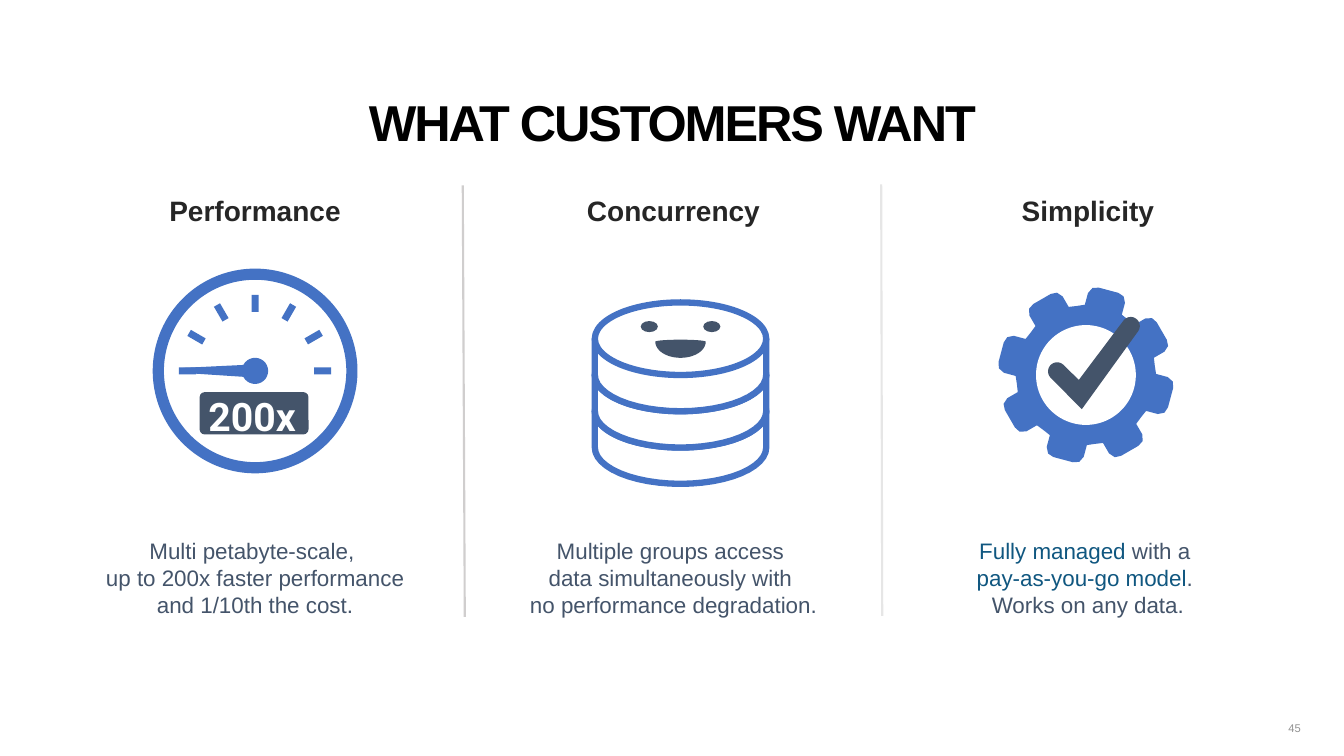
from math import cos, sin, radians

from lxml import etree
from pptx import Presentation
from pptx.dml.color import RGBColor
from pptx.enum.shapes import MSO_CONNECTOR, MSO_SHAPE
from pptx.enum.text import MSO_ANCHOR, PP_ALIGN
from pptx.oxml.ns import qn
from pptx.util import Inches, Pt

OVAL, RECT = MSO_SHAPE.OVAL, MSO_SHAPE.RECTANGLE
ROUND = MSO_SHAPE.ROUNDED_RECTANGLE
LINE = MSO_CONNECTOR.STRAIGHT
TOP, MIDDLE, BOTTOM = MSO_ANCHOR.TOP, MSO_ANCHOR.MIDDLE, MSO_ANCHOR.BOTTOM
CENTER, RIGHT = PP_ALIGN.CENTER, PP_ALIGN.RIGHT

COLOR = {
    "blue": "4472C4", "slate": "44546A", "white": "FFFFFF", "black": "000000",
    "head": "262626", "link": "105780", "page": "929292",
    "rule1": "D0CECE", "rule2": "E6E6E6",
}

# Grid: centres of the three columns, tops of the text rows
COLS = (2.53, 6.68, 10.79)
HEAD, BODY = 1.87, 5.28
WIDE = 3.6

COLUMNS = [
    ("Performance", [("Multi petabyte-scale, \nup to 200x faster performance\n"
                      "and 1/10th the cost.", "slate")]),
    ("Concurrency", [("Multiple groups access \ndata simultaneously with \n"
                      "no performance degradation.", "slate")]),
    ("Simplicity", [("Fully managed ", "link"), ("with a \n", "slate"),
                    ("pay-as-you-go model", "link"),
                    (". \nWorks on any data.", "slate")]),
]


def rgb(name):
    return RGBColor.from_string(COLOR[name])


def paint(shape, fill=None, line=None, width=0):
    shape.shadow.inherit = False
    if fill:
        shape.fill.solid()
        shape.fill.fore_color.rgb = rgb(fill)
    else:
        shape.fill.background()
    if line:
        shape.line.color.rgb = rgb(line)
        shape.line.width = Pt(width)
    else:
        shape.line.fill.background()
    return shape


def block(slide, kind, x, y, w, h, *style):
    """Preset shape centred on x, y."""
    box = [Inches(v) for v in (x - w / 2, y - h / 2, w, h)]
    return paint(slide.shapes.add_shape(kind, *box), *style)


def shape(slide, points, *style, close=True):
    """Outline through a list of points."""
    spots = [(Inches(x), Inches(y)) for x, y in points]
    pen = slide.shapes.build_freeform(*spots[0])
    pen.add_line_segments(spots[1:], close=close)
    return paint(pen.convert_to_shape(), *style)


def arc(x, y, rx, ry, start, end, steps=24):
    turns = [radians(start + (end - start) * i / steps)
             for i in range(steps + 1)]
    return [(x + rx * cos(t), y + ry * sin(t)) for t in turns]


def text(slide, x, y, w, h, runs, size, color=None, bold=False, font="Arial",
         align=CENTER, anchor=TOP, space=None, track=None):
    """Text box centred on x with its top at y; runs are (words, colour)."""
    box = slide.shapes.add_textbox(
        Inches(x - w / 2), Inches(y), Inches(w), Inches(h))
    frame = box.text_frame
    frame.word_wrap = True
    frame.vertical_anchor = anchor
    para = frame.paragraphs[0]
    para.alignment = align
    if space:
        para.line_spacing = space
    para.font.name, para.font.size, para.font.bold = font, Pt(size), bold
    if color:
        para.font.color.rgb = rgb(color)
    for words, tint in runs:
        for i, part in enumerate(words.split("\n")):
            if i:
                para.add_line_break()
            if part:
                run = para.add_run()
                run.text = part
                if tint:
                    run.font.color.rgb = rgb(tint)
                if track:
                    run.font._element.set("spc", str(track))


def rule(slide, x1, y1, x2, y2, color):
    line = slide.shapes.add_connector(
        LINE, *[Inches(v) for v in (x1, y1, x2, y2)])
    line.line.color.rgb = rgb(color)
    line.line.width = Pt(1.5)
    etree.SubElement(line._element.spPr, qn("a:effectLst"))


def gauge(slide, x, y):
    block(slide, ROUND, x - 0.01, y + 0.42, 1.08, 0.42,
          "slate").adjustments[0] = 0.12
    # Seven ticks, 30 degrees apart
    for turn in range(-90, 91, 30):
        a = radians(turn)
        tick = block(slide, RECT, x + 0.67 * sin(a), y - 0.67 * cos(a),
                     0.07, 0.17, "blue")
        tick.rotation = turn
    text(slide, x - 0.03, y + 0.16, 1.08, 0.57, [("200x", None)], 28,
         "white", True, "Roboto", anchor=MIDDLE)
    needle = arc(x, y, 0.13, 0.13, -153, 153)
    needle += [(x - 0.71, y + 0.02), (x - 0.71, y - 0.03)]
    shape(slide, needle, "blue")
    block(slide, OVAL, x, y, 1.92, 1.92, None, "blue", 8)


def drums(slide, x, y):
    """Three stacked drums; y is the centre of the top lid."""
    rx, step = 0.85, 0.36
    style = ("white", "blue", 4.5)
    for level in (2, 1, 0):
        lid = y + level * step
        side = [(x - rx, lid)]
        side += arc(x, lid + step, rx, step, 180, 0)
        side += [(x + rx, lid)]
        shape(slide, side, *style, close=False)
        block(slide, OVAL, x, lid, 2 * rx, 2 * step, *style)
    # Face on the top lid
    for way in (-1, 1):
        block(slide, OVAL, x + way * 0.31, y - 0.12, 0.17, 0.11, "slate")
    smile = arc(x, y + 0.03, 0.25, 0.16, 0, 180)
    smile += arc(x, y + 0.03, 0.25, 0.02, 180, 360)
    shape(slide, smile, "slate")


def gear(slide, x, y):
    half = [(0.19, 0.67), (0.19, 0.79), (0.16, 0.85), (0.1, 0.87)]
    tooth = [(-p, r) for p, r in half] + half[::-1]
    valley = (0.69 * sin(radians(22.5)), 0.69 * cos(radians(22.5)))
    edge = []
    for turn in range(15, 375, 45):
        c, s = cos(radians(turn)), sin(radians(turn))
        edge += [(x + p * c + r * s, y + p * s - r * c)
                 for p, r in tooth + [valley]]
    shape(slide, edge, "blue")
    block(slide, OVAL, x, y, 0.99, 0.99, "white")
    # Check mark with round ends
    check = [(x - 0.04, y + 0.34)]
    check += arc(x + 0.445, y - 0.485, 0.09, 0.09, 37, -143)
    check += [(x - 0.07, y + 0.05)]
    check += arc(x - 0.285, y - 0.035, 0.09, 0.09, -45, -225)
    shape(slide, check, "slate")


def main():
    deck = Presentation()
    deck.slide_width, deck.slide_height = Inches(13.33), Inches(7.5)
    slide = deck.slides.add_slide(deck.slide_layouts[6])

    # Title and page number
    text(slide, 6.67, 0.56, 12.5, 1, [("WHAT CUSTOMERS WANT", None)], 36,
         "black", True, anchor=BOTTOM, space=0.9, track=-150)
    text(slide, 12.75, 7.1, 0.5, 0.24, [("45", None)], 8, "page",
         align=RIGHT, anchor=MIDDLE)

    # Columns
    for x, (head, body) in zip(COLS, COLUMNS):
        text(slide, x, HEAD, WIDE, 0.44, [(head, None)], 20, "head", True)
        text(slide, x, BODY, WIDE, 0.91, body, 16)
    rule(slide, 4.59, 1.84, 4.61, 6.12, "rule1")
    rule(slide, 8.74, 1.83, 8.75, 6.11, "rule2")

    # Icons
    gauge(slide, COLS[0], 3.68)
    drums(slide, 6.75, 3.36)
    gear(slide, 10.77, 3.72)

    deck.save("out.pptx")


if __name__ == "__main__":
    main()
